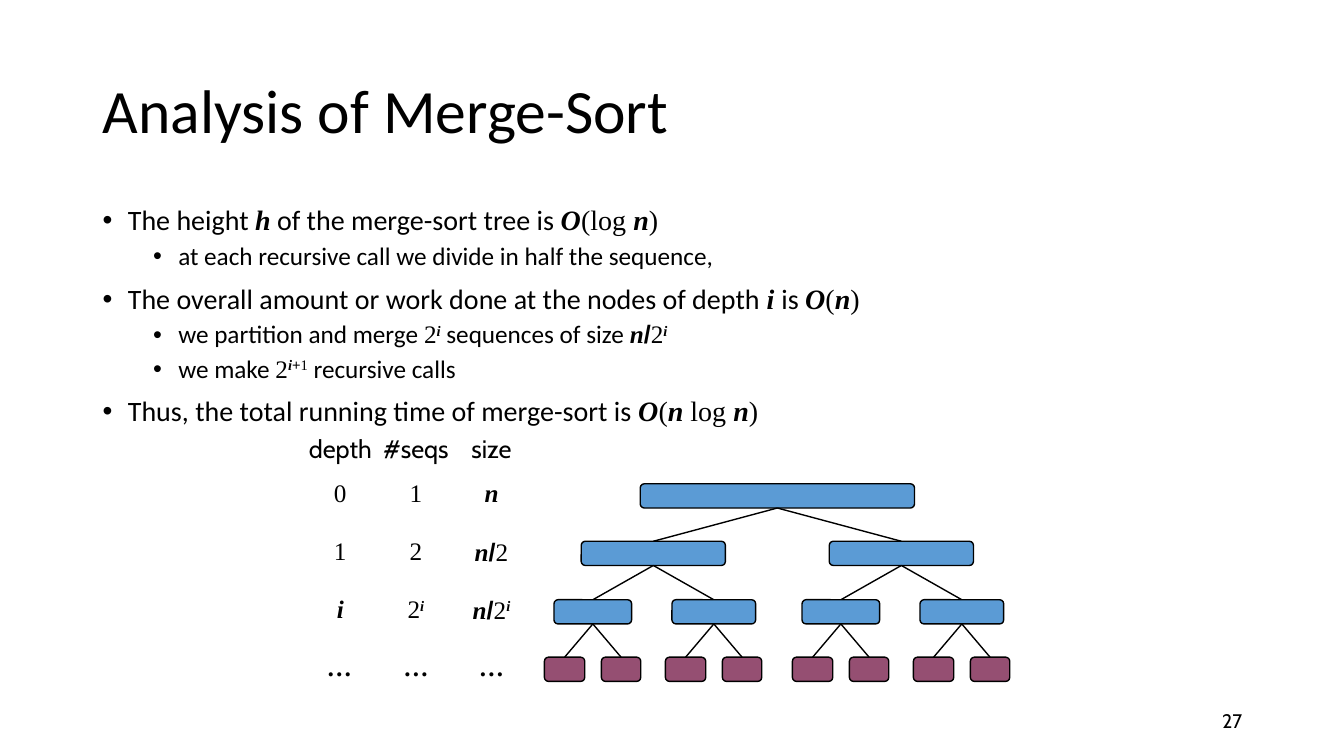
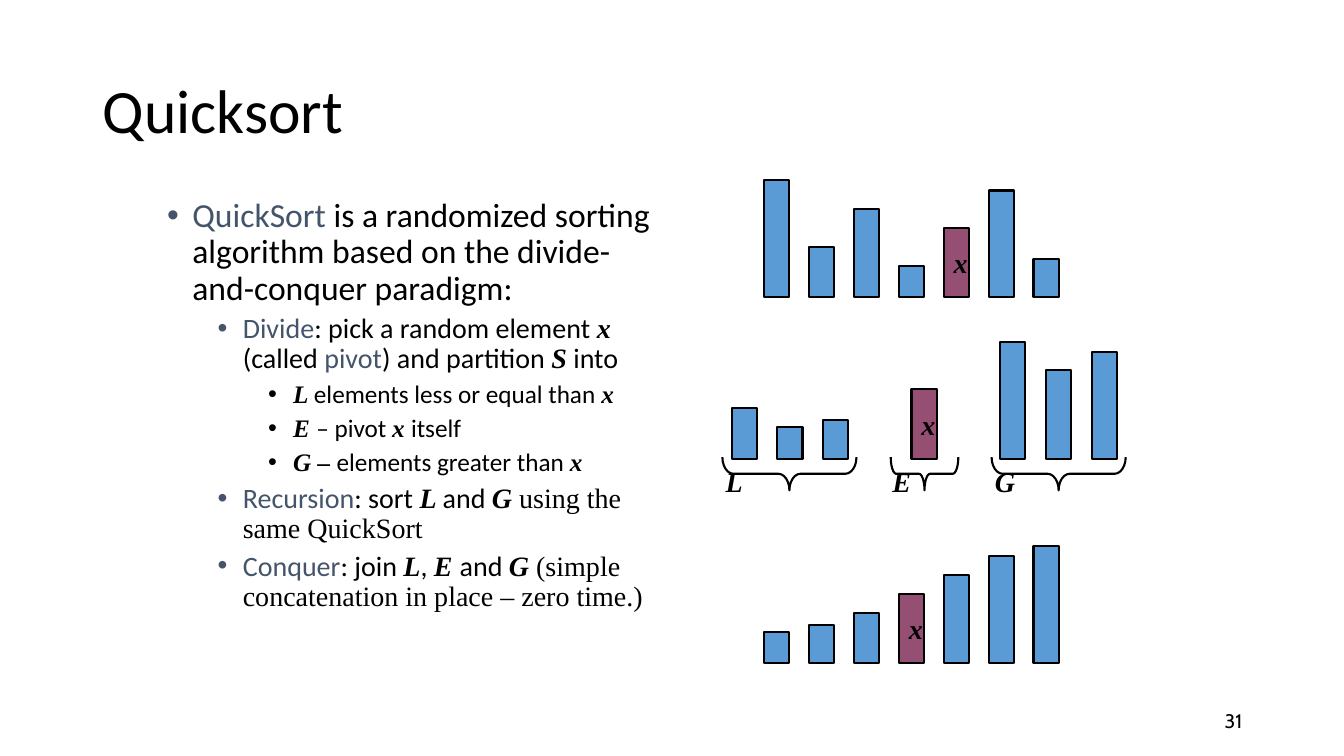
import pptx
import pptx.util
import pptx.dml.color
import pptx.enum.shapes
import pptx.enum.text
import pptx.oxml.ns
from lxml import etree

Inches = pptx.util.Inches
Pt = pptx.util.Pt
RGB = pptx.dml.color.RGBColor
SHAPE = pptx.enum.shapes.MSO_SHAPE
ANCHOR = pptx.enum.text.MSO_ANCHOR
ALIGN = pptx.enum.text.PP_ALIGN

BLACK = RGB(0x00, 0x00, 0x00)
BLUE = RGB(0x5B, 0x9B, 0xD5)
PLUM = RGB(0x95, 0x4F, 0x72)
SLATE = RGB(0x44, 0x54, 0x6A)

SANS = "Calibri"
SERIF = "Times New Roman"
LABEL = "Cabin"

# Run styles: font, bold, italic, raised, colour
STYLES = {
    "plain": (SANS, False, False, False, BLACK),
    "key": (SANS, False, False, False, SLATE),
    "var": (SERIF, True, True, False, BLACK),
    "num": (SERIF, False, False, False, BLACK),
    "bold": (SERIF, True, False, False, BLACK),
    "slash": ("Arial", True, False, False, BLACK),
    "head": (LABEL, False, False, False, BLACK),
    "supvar": (SERIF, True, True, True, BLACK),
    "supnum": (SERIF, False, False, True, BLACK),
    "supplus": ("Arial", False, False, True, BLACK),
}

# Tree: top of each level, (left, right) node widths, distance to children
TOPS = (4.8, 5.37, 5.95, 6.52)
WIDTHS = ((2.72, 2.72), (1.43, 1.43), (0.77, 0.83), (0.4, 0.39))
SPREADS = (1.23, 0.6, 0.28)
NODE_H = 0.24

BAR_W = 0.25
PIVOT = 0.69  # height of the pivot bar

MERGE_TEXT = [
    (0, [("The height ", "plain"), ("h", "var"),
         (" of the merge-sort tree is ", "plain"), ("O", "var"),
         ("(log ", "num"), ("n", "var"), (")", "num")]),
    (1, [("at each recursive call we divide in half the sequence,", "plain")]),
    (0, [("The overall amount or work done at the nodes of depth ", "plain"),
         ("i ", "var"), ("is ", "plain"), ("O", "var"), ("(", "num"),
         ("n", "var"), (")", "num")]),
    (1, [("we partition and merge ", "plain"), ("2", "num"), ("i", "supvar"),
         (" sequences of size ", "plain"), ("n", "var"), ("/", "slash"),
         ("2", "num"), ("i", "supvar")]),
    (1, [("we make ", "plain"), ("2", "num"), ("i", "supvar"),
         ("+", "supplus"), ("1", "supnum"), (" recursive calls", "plain")]),
    (0, [("Thus, the total running time of merge-sort is ", "plain"),
         ("O", "var"), ("(", "num"), ("n", "var"), (" log ", "num"),
         ("n", "var"), (")", "num")]),
]

QUICK_TEXT = [
    (0, [("QuickSort ", "key"),
         ("is a randomized sorting algorithm based on the "
          "divide-and-conquer paradigm:", "plain")]),
    (1, [("Divide", "key"), (": pick a random element ", "plain"),
         ("x", "var"), (" (called ", "plain"), ("pivot", "key"),
         (") and partition ", "plain"), ("S", "var"), (" into", "plain")]),
    (2, [("L ", "var"), ("elements less or equal than ", "plain"),
         ("x", "var")]),
    (2, [("E ", "var"), ("– pivot ", "plain"), ("x ", "var"),
         ("itself", "plain")]),
    (2, [("G – ", "var"), ("elements greater than ", "plain"),
         ("x", "var")]),
    (1, [("Recursion", "key"), (": sort ", "plain"), ("L ", "var"),
         ("and ", "plain"), ("G ", "var"),
         ("using the same QuickSort", "num")]),
    (1, [("Conquer", "key"), (": join ", "plain"), ("L", "var"),
         (", ", "plain"), ("E ", "var"), ("and ", "plain"), ("G ", "var"),
         ("(simple concatenation in place – zero time.)", "num")]),
]

DEPTHS = [
    [[("depth", "head")], [("#seqs", "head")], [("size", "head")]],
    [[("0", "num")], [("1", "num")], [("n", "var")]],
    [[("1", "num")], [("2", "num")],
     [("n", "var"), ("/", "slash"), ("2", "num")]],
    [[("i", "var")], [("2", "num"), ("i", "supvar")],
     [("n", "var"), ("/", "slash"), ("2", "num"), ("i", "supvar")]],
    [[("…", "var")], [("…", "bold")], [("…", "bold")]],
]


def add_runs(para, parts, size):
    """Add (text, style) parts to a paragraph."""
    for text, style in parts:
        face, bold, slant, raised, color = STYLES[style]
        run = para.add_run()
        run.text = text
        font = run.font
        font.name, font.size = face, Pt(size)
        font.bold, font.italic = bold, slant
        font.color.rgb = color
        if raised:
            run._r.get_or_add_rPr().set("baseline", "30000")


def add_bullet(para, level):
    props = para._p.get_or_add_pPr()
    props.set("marL", str(Inches(0.25 + 0.5 * level)))
    props.set("indent", str(Inches(-0.25)))
    face = etree.SubElement(props, pptx.oxml.ns.qn("a:buFont"))
    face.set("typeface", "Arial")
    mark = etree.SubElement(props, pptx.oxml.ns.qn("a:buChar"))
    mark.set("char", "•")


def add_box(slide, left, top, width, height):
    box = slide.shapes.add_textbox(
        Inches(left), Inches(top), Inches(width), Inches(height))
    box.text_frame.word_wrap = True
    return box.text_frame


def add_slide(deck, title, number):
    """Add a slide with its title and page number."""
    slide = deck.slides.add_slide(deck.slide_layouts[5])
    head = slide.shapes.title
    head.left, head.top = Inches(0.92), Inches(0.4)
    head.width, head.height = Inches(11.5), Inches(1.45)
    frame = head.text_frame
    frame.text = title
    frame.vertical_anchor = ANCHOR.MIDDLE
    para = frame.paragraphs[0]
    para.alignment, para.line_spacing = ALIGN.LEFT, 0.9
    font = para.runs[0].font
    font.name, font.size, font.color.rgb = SANS, Pt(44), BLACK

    foot = add_box(slide, 9.42, 6.95, 3, 0.4)
    foot.vertical_anchor = ANCHOR.MIDDLE
    foot.paragraphs[0].alignment = ALIGN.RIGHT
    add_runs(foot.paragraphs[0], [(str(number), "head")], 14)
    return slide


def add_body(slide, place, lines, sizes):
    """Add bulleted lines, with one text size for each level."""
    frame = add_box(slide, *place)
    for row, (level, parts) in enumerate(lines):
        para = frame.add_paragraph() if row else frame.paragraphs[0]
        para.level, para.line_spacing = level, 0.9
        para.space_before = Pt(5 if level else 10)
        add_bullet(para, level)
        add_runs(para, parts, sizes[level])


def add_shape(slide, kind, place, fill, weight):
    shape = slide.shapes.add_shape(kind, *map(Inches, place))
    shape.shadow.inherit = False
    if fill is None:
        shape.fill.background()
    else:
        shape.fill.solid()
        shape.fill.fore_color.rgb = fill
    shape.line.color.rgb = BLACK
    shape.line.width = Pt(weight)
    return shape


def add_label(shape, text, anchor):
    frame = shape.text_frame
    frame.word_wrap = False
    frame.vertical_anchor = anchor
    frame.paragraphs[0].alignment = ALIGN.LEFT
    add_runs(frame.paragraphs[0], [(text, "var")], 20)


def add_line(slide, *ends):
    line = slide.shapes.add_connector(
        pptx.enum.shapes.MSO_CONNECTOR.STRAIGHT, *map(Inches, ends))
    line.line.color.rgb = BLACK
    line.line.width = Pt(1)
    etree.SubElement(line._element.spPr, pptx.oxml.ns.qn("a:effectLst"))


def add_node(slide, mid, level=0, side=0):
    """Draw a tree node and, below it, its two subtrees."""
    top, width = TOPS[level], WIDTHS[level][side]
    leaf = level == len(SPREADS)
    add_shape(slide, SHAPE.ROUNDED_RECTANGLE,
              (mid - width / 2, top, width, NODE_H),
              PLUM if leaf else BLUE, 1)
    if leaf:
        return
    for side, sign in enumerate((-1, 1)):
        child = mid + sign * SPREADS[level]
        add_line(slide, mid, top + NODE_H, child, TOPS[level + 1])
        add_node(slide, child, level + 1, side)


def add_depths(slide):
    heights = (0.31, 0.57, 0.58, 0.57, 0.57)
    table = slide.shapes.add_table(
        len(DEPTHS), 3, Inches(3), Inches(4.31),
        Inches(2.25), Inches(sum(heights))).table
    table.first_row = table.horz_banding = False
    for col in table.columns:
        col.width = Inches(0.75)
    for r, cells in enumerate(DEPTHS):
        table.rows[r].height = Inches(heights[r])
        for c, parts in enumerate(cells):
            cell = table.cell(r, c)
            cell.fill.background()
            cell.margin_left = cell.margin_right = 0
            cell.margin_top = cell.margin_bottom = 0
            cell.vertical_anchor = ANCHOR.MIDDLE if r else ANCHOR.TOP
            para = cell.text_frame.paragraphs[0]
            para.alignment, para.space_before = ALIGN.CENTER, Pt(3.6)
            add_runs(para, parts, 18)


def add_bars(slide, left, base, pitch, heights):
    for i, height in enumerate(heights):
        pivot = height == PIVOT
        bar = add_shape(slide, SHAPE.RECTANGLE,
                        (left + i * pitch, base - height, BAR_W, height),
                        PLUM if pivot else BLUE, 1.5)
        if pivot:
            add_label(bar, "x", ANCHOR.MIDDLE)


def add_brace(slide, mid, span, bend, text):
    """Draw a brace that opens upward, with its label."""
    depth = 0.33
    brace = add_shape(slide, SHAPE.LEFT_BRACE,
                      (mid - depth / 2, 4.7 - span / 2, depth, span),
                      None, 1.5)
    brace.rotation = 270
    brace.adjustments[0] = bend
    add_label(brace, text, ANCHOR.TOP)
    frame = brace.text_frame
    frame.margin_left, frame.margin_right = Inches(0.1), Inches(0.6)
    frame.margin_top = frame.margin_bottom = 0
    frame._txBody.bodyPr.set("vert", "eaVert")


def add_merge(deck):
    slide = add_slide(deck, "Analysis of Merge-Sort", 27)
    add_body(slide, (0.92, 2, 11.5, 4.76), MERGE_TEXT, (20, 18))
    add_node(slide, 7.71)
    add_depths(slide)


def add_quick(deck):
    slide = add_slide(deck, "Quicksort", 31)
    add_body(slide, (1.56, 1.92, 5.08, 4.5), QUICK_TEXT, (24, 20, 18))
    mixed = (1.16, 0.5, 0.88, 0.31, PIVOT, 1.06, 0.38)
    less = [h for h in mixed if h < PIVOT]
    more = [h for h in mixed if h > PIVOT]
    less = [less[0], less[1], less[2]]
    add_bars(slide, 7.58, 2.95, 0.445, mixed)
    add_bars(slide, 7.26, 4.55, 0.45, less)
    add_bars(slide, 9.04, 4.55, 0.45, [PIVOT])
    add_bars(slide, 9.92, 4.55, 0.455, [more[0], more[1], more[2]])
    add_bars(slide, 7.58, 6.58, 0.445, sorted(mixed))
    add_brace(slide, 7.83, 1.33, 0.333, "L")
    add_brace(slide, 9.17, 0.67, 0.167, "E")
    add_brace(slide, 10.5, 1.33, 0.333, "G")


def main():
    deck = pptx.Presentation()
    deck.slide_width, deck.slide_height = Inches(13.33), Inches(7.5)
    add_merge(deck)
    add_quick(deck)
    deck.save("out.pptx")


if __name__ == "__main__":
    main()
